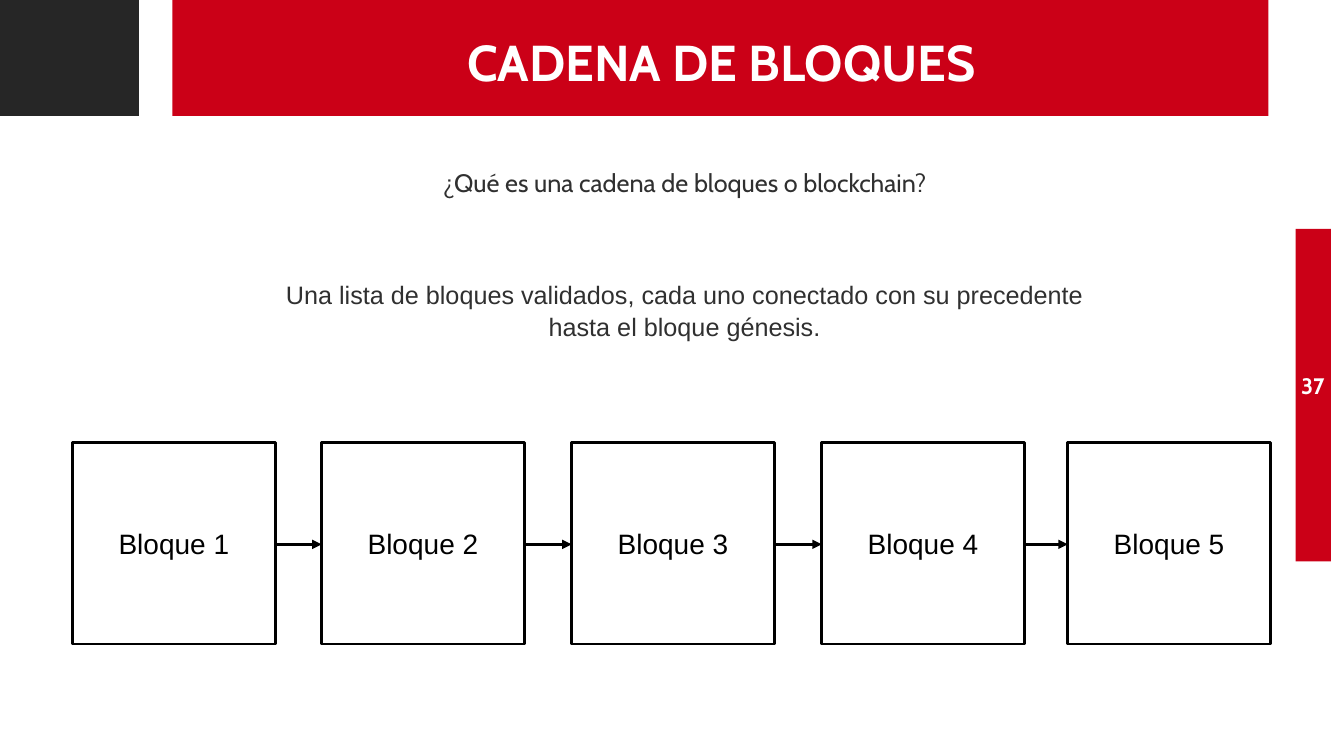
from pptx import Presentation
from pptx.dml.color import RGBColor
from pptx.enum.shapes import MSO_CONNECTOR, MSO_SHAPE
from pptx.enum.text import MSO_ANCHOR, PP_ALIGN
from pptx.oxml.ns import qn
from pptx.util import Inches, Pt
from lxml.etree import SubElement

RED = RGBColor(0xCB, 0x00, 0x17)
DARK = RGBColor(0x26, 0x26, 0x26)
GRAY = RGBColor(0x30, 0x30, 0x30)
WHITE = RGBColor(0xFF, 0xFF, 0xFF)
BLACK = RGBColor(0x00, 0x00, 0x00)

prs = Presentation()
prs.slide_width, prs.slide_height = Inches(13.33), Inches(7.5)
s = prs.slides.add_slide(prs.slide_layouts[6])


def add_rect(left, top, width, height, fill):
    sp = s.shapes.add_shape(MSO_SHAPE.RECTANGLE, Inches(left), Inches(top),
                            Inches(width), Inches(height))
    sp.shadow.inherit = False
    sp.fill.solid()
    sp.fill.fore_color.rgb = fill
    sp.line.fill.background()
    return sp


def set_text(sp, text, size, font, color, bold=False, anchor=MSO_ANCHOR.MIDDLE):
    tf = sp.text_frame
    tf.word_wrap = True
    tf.vertical_anchor = anchor
    tf.text = text
    for p in tf.paragraphs:
        p.alignment = PP_ALIGN.CENTER
        for r in p.runs:
            r.font.size, r.font.name, r.font.bold = Pt(size), font, bold
            r.font.color.rgb = color
    return tf


# Header bands and page number bar
add_rect(12.85, 2.27, 0.35, 3.3, RED)
add_rect(1.05, 0, 11.53, 1.15, RED)
add_rect(0, 0, 1.38, 1.15, DARK)
add_rect(1.38, 0, 0.33, 1.15, WHITE)

# Question and answer
body = s.shapes.add_textbox(Inches(1.23), Inches(1.61), Inches(10.87), Inches(2.6))
tf = set_text(body, "¿Qué es una cadena de bloques o blockchain?\n"
              "Una lista de bloques validados, cada uno conectado con su precedente\v"
              "hasta el bloque génesis.", 18, "Cabin", GRAY, anchor=MSO_ANCHOR.TOP)
for p in tf.paragraphs:
    pPr = p._p.get_or_add_pPr()
    pPr.set("marL", str(Inches(0.25)))
    pPr.set("indent", "0")
answer = tf.paragraphs[1]
answer.space_before = Pt(57)
answer.line_spacing = 1.07
for r in answer.runs:
    r.font.name = "Arial"

# Page number and title
number = s.shapes.add_textbox(Inches(12.65), Inches(3.63), Inches(0.74), Inches(0.4))
set_text(number, "37", 16, "Cabin", WHITE, bold=True)
title = s.shapes.add_textbox(Inches(1.72), Inches(0.06), Inches(10.87), Inches(0.9))
set_text(title, "CADENA DE BLOQUES", 36, "Cabin", WHITE, bold=True,
         anchor=MSO_ANCHOR.BOTTOM)

# Chain of blocks
block_lefts = [0.72, 3.19, 5.67, 8.15, 10.59]
block_width = 2.01
for i, left in enumerate(block_lefts, 1):
    block = add_rect(left, 4.39, block_width, 2, WHITE)
    block.line.color.rgb = BLACK
    block.line.width = Pt(2)
    set_text(block, f"Bloque {i}", 20, "Arial", BLACK)

# Arrows from each block to the next
for left, next_left in zip(block_lefts, block_lefts[1:]):
    arrow = s.shapes.add_connector(MSO_CONNECTOR.STRAIGHT, Inches(left + block_width),
                                   Inches(5.4), Inches(next_left), Inches(5.4))
    arrow.line.color.rgb = BLACK
    arrow.line.width = Pt(2.25)
    SubElement(arrow.line._get_or_add_ln(), qn("a:tailEnd"), type="triangle")
    SubElement(arrow._element.spPr, qn("a:effectLst"))

prs.save("out.pptx")
